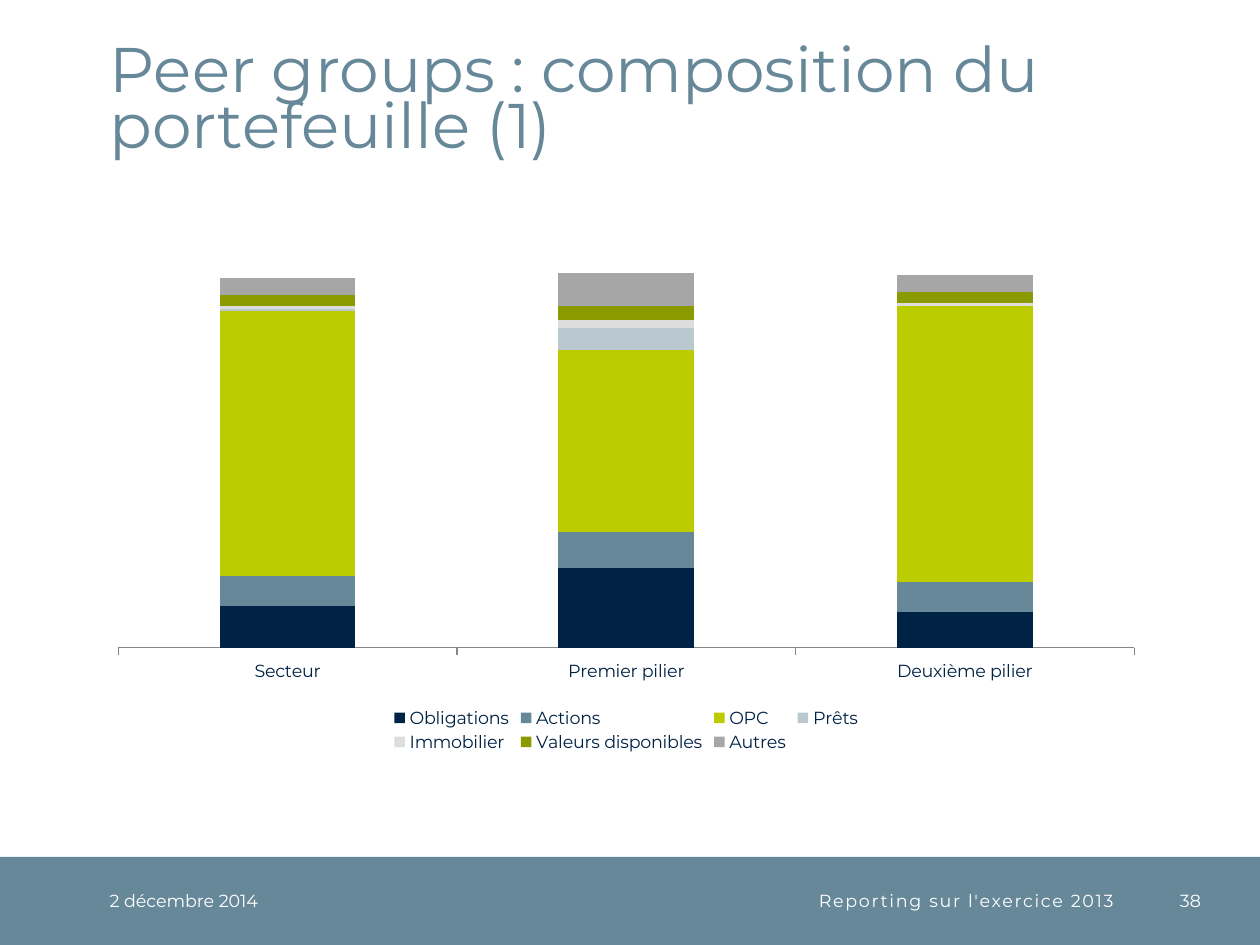
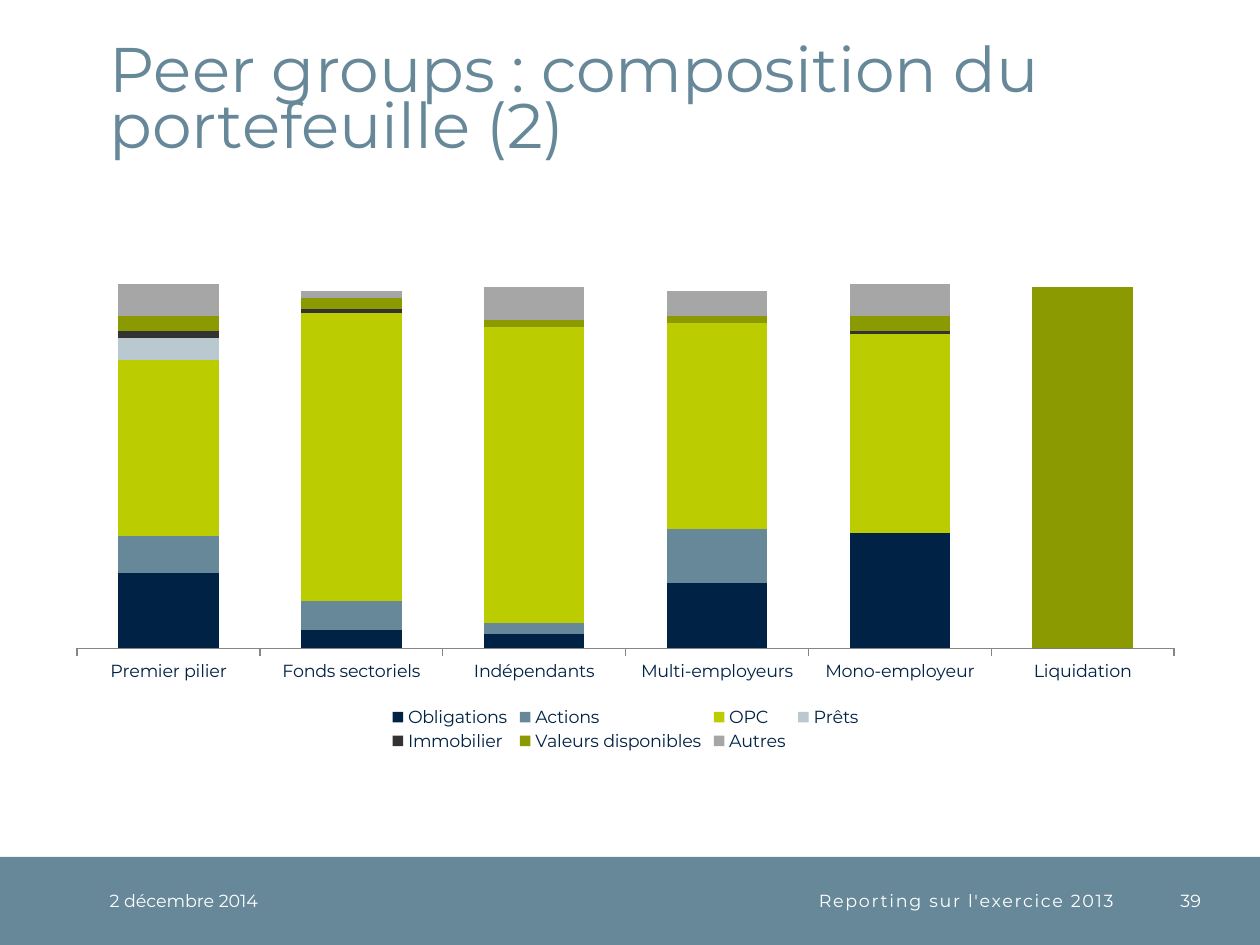
from lxml.etree import SubElement
from pptx import Presentation
from pptx.chart.data import CategoryChartData as Data
from pptx.dml.color import RGBColor
from pptx.enum.chart import (XL_CHART_TYPE as Kind, XL_LEGEND_POSITION as Side,
                             XL_TICK_LABEL_POSITION as Label, XL_TICK_MARK as Tick)
from pptx.enum.shapes import MSO_SHAPE as Form
from pptx.enum.text import MSO_ANCHOR as Anchor, PP_ALIGN as Align
from pptx.oxml import parse_xml
from pptx.oxml.ns import nsdecls, qn
from pptx.util import Inches, Pt

# Content
DAY = "2 décembre 2014"
TOPIC = "Reporting sur l'exercice 2013"
TITLE = "Peer groups : composition du portefeuille ({})"
ASSETS = ["Obligations", "Actions", "OPC", "Prêts", "Immobilier",
          "Valeurs disponibles", "Autres"]

# Colours and font
WHITE = RGBColor(0xFF, 0xFF, 0xFF)
SLATE = RGBColor(0x66, 0x88, 0x99)
NAVY = RGBColor(0x00, 0x22, 0x44)
LIME = RGBColor(0xBB, 0xCC, 0x00)
MIST = RGBColor(0xBA, 0xC9, 0xD0)
PALE = RGBColor(0xDD, 0xDD, 0xDD)
DARK = RGBColor(0x33, 0x33, 0x33)
OLIVE = RGBColor(0x8B, 0x9A, 0x00)
GREY = RGBColor(0xA6, 0xA6, 0xA6)
RULE = RGBColor(0x86, 0x86, 0x86)
FONT = "Montserrat"

# One row of shares per group, in the order of ASSETS
PAGES = [
    {"no": 38, "box": (0.77, 1.55, 8.4, 4.49), "gap": 150, "top": 160, "estate": PALE,
     "groups": {
         "Secteur": (15, 11, 96, 1, 1, 4, 6),
         "Premier pilier": (29, 13, 66, 8, 3, 5, 12),
         "Deuxième pilier": (13, 11, 100, 0, 1, 4, 6)}},
    {"no": 39, "box": (0.43, 1.62, 9.07, 4.41), "gap": 82, "top": 120, "estate": DARK,
     "groups": {
         "Premier pilier": (21, 10, 49, 6, 2, 4, 9),
         "Fonds sectoriels": (5, 8, 80, 0, 1, 3, 2),
         "Indépendants": (4, 3, 82, 0, 0, 2, 9),
         "Multi-employeurs": (18, 15, 57, 0, 0, 2, 7),
         "Mono-employeur": (32, 0, 55, 0, 1, 4, 9),
         "Liquidation": (0, 0, 0, 0, 0, 100, 0)}},
]

# Grid in inches
WIDE, HIGH = 10, 7.5
EDGE, BAND = 0.87, 0.7
FOOT = HIGH - BAND
KEY = 3.8  # legend width


def add_text(slide, box, words, size=10, color=WHITE, align=Align.LEFT,
             anchor=Anchor.MIDDLE, lead=None, track=None):
    frame = slide.shapes.add_textbox(*map(Inches, box)).text_frame
    frame.word_wrap = True
    frame.vertical_anchor = anchor
    frame.margin_left = frame.margin_right = 0
    frame.margin_top = frame.margin_bottom = 0
    para = frame.paragraphs[0]
    para.alignment = align
    if lead:
        para.line_spacing = Pt(lead)
    run = para.add_run()
    run.text = words
    font = run.font
    font.name, font.size = FONT, Pt(size)
    font.color.rgb = color
    if track:
        run._r.get_or_add_rPr().set("spc", str(track * 100))


def add_frame(slide, rank, page):
    """Title, footer band and footer texts."""
    band = slide.shapes.add_shape(Form.RECTANGLE, 0, Inches(FOOT),
                                  Inches(WIDE), Inches(BAND))
    band.shadow.inherit = False
    band.fill.solid()
    band.fill.fore_color.rgb = SLATE
    band.line.fill.background()
    add_text(slide, (EDGE, 0.2, 8.63, 1.08), TITLE.format(rank), 36, SLATE,
             anchor=Anchor.BOTTOM, lead=32)
    add_text(slide, (EDGE, FOOT, 1.77, BAND), DAY)
    add_text(slide, (2.64, FOOT, 6.2, BAND), TOPIC, align=Align.RIGHT, track=1)
    add_text(slide, (9.04, FOOT, 0.49, BAND), str(page["no"]), align=Align.RIGHT)


def place(part, after, x, y, w, h, inner=False):
    """Fix a chart part, in shares of the chart, just after the named child."""
    layout = parse_xml(f"<c:layout {nsdecls('c')}/>")
    manual = SubElement(layout, qn("c:manualLayout"))
    spots = [("layoutTarget", "inner")] if inner else []
    spots += [("xMode", "edge"), ("yMode", "edge"),
              ("x", x), ("y", y), ("w", w), ("h", h)]
    for name, val in spots:
        SubElement(manual, qn(f"c:{name}")).set("val", str(val))
    for old in part.findall(qn("c:layout")):
        part.remove(old)
    prior = part.find(qn(after)) if after else None
    part.insert(0 if prior is None else part.index(prior) + 1, layout)


def add_bars(slide, page):
    data = Data()
    data.categories = list(page["groups"])
    for name, vals in zip(ASSETS, zip(*page["groups"].values())):
        data.add_series(name, vals)
    box = page["box"]
    chart = slide.shapes.add_chart(Kind.COLUMN_STACKED, *map(Inches, box), data).chart
    chart.has_title = False
    chart.font.name, chart.font.size = FONT, Pt(10)
    chart.font.color.rgb = NAVY

    # Columns
    plot = chart.plots[0]
    plot.gap_width, plot.overlap = page["gap"], 100
    plot.vary_by_categories = False
    tints = (NAVY, SLATE, LIME, MIST, page["estate"], OLIVE, GREY)
    for part, tint in zip(plot.series, tints):
        part.format.fill.solid()
        part.format.fill.fore_color.rgb = tint

    # Axes
    cat, val = chart.category_axis, chart.value_axis
    cat.major_tick_mark = Tick.OUTSIDE
    cat.tick_label_position = Label.NEXT_TO_AXIS
    cat.format.line.color.rgb = RULE
    cat.format.line.width = Pt(0.75)
    val.has_major_gridlines = False
    val.minimum_scale, val.maximum_scale = 0, page["top"]
    val.tick_labels.number_format = "0%"
    val.tick_labels.number_format_is_linked = False
    val.visible = False

    # Plot area and centred legend
    chart.has_legend = True
    chart.legend.position = Side.BOTTOM
    chart.legend.include_in_layout = False
    share = round(KEY / box[2], 2)
    place(chart._chartSpace.chart.plotArea, None, 0.02, 0.02, 0.96, 0.78, inner=True)
    place(chart.legend._element, "c:legendPos", (1 - share) / 2, 0.9, share, 0.09)


def main():
    deck = Presentation()
    deck.slide_width, deck.slide_height = Inches(WIDE), Inches(HIGH)
    for rank, page in enumerate(PAGES, 1):
        slide = deck.slides.add_slide(deck.slide_layouts[6])
        add_frame(slide, rank, page)
        add_bars(slide, page)
    deck.save("out.pptx")


if __name__ == "__main__":
    main()
